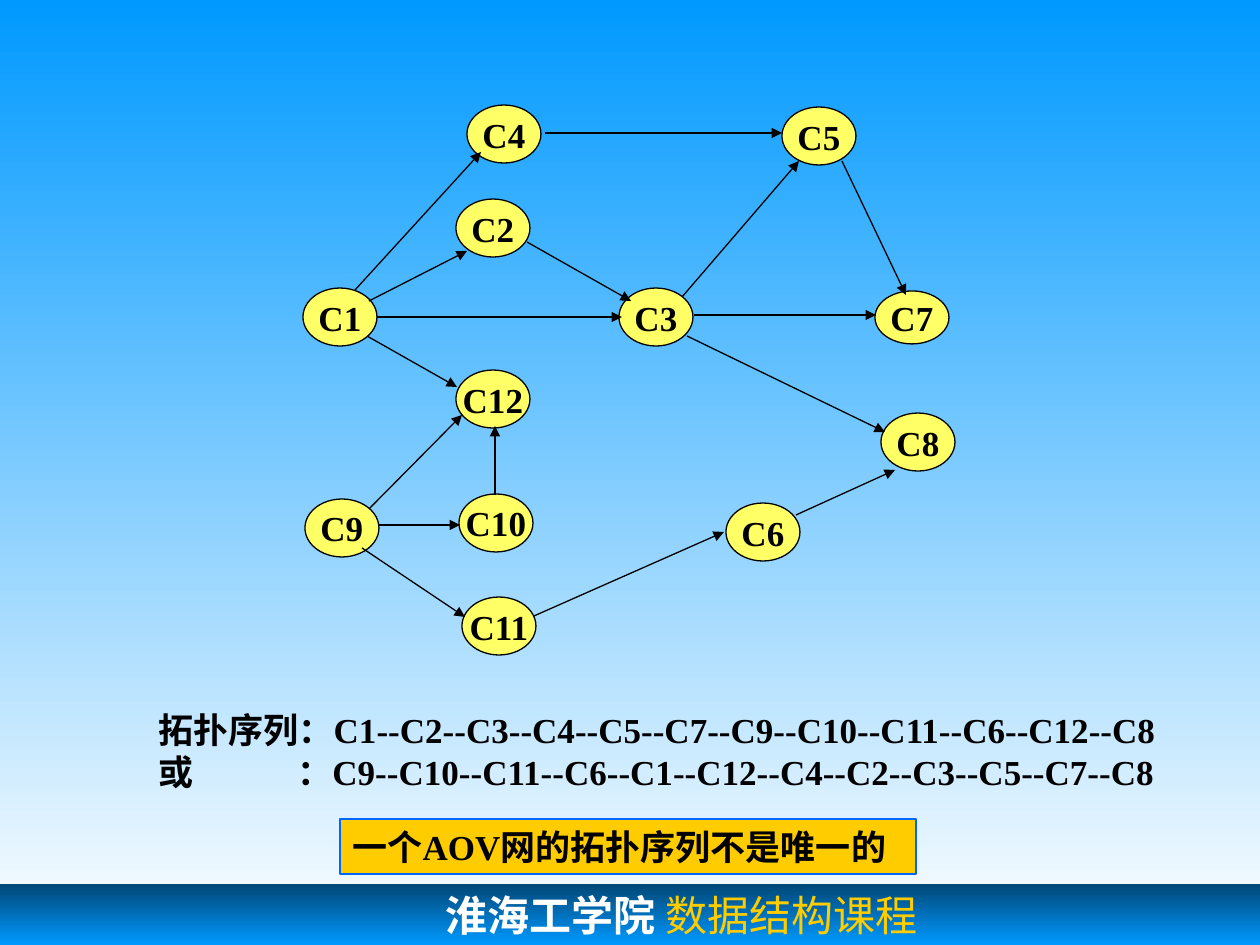
from lxml import etree
from pptx import Presentation
from pptx.dml.color import RGBColor
from pptx.enum.shapes import MSO_CONNECTOR as Connector, MSO_SHAPE as Shape
from pptx.enum.text import MSO_ANCHOR as Anchor, PP_ALIGN as Align
from pptx.oxml.ns import qn
from pptx.util import Pt

PX = 914400 / 126
COLORS = {
    "sky": "0099FF", "white": "FFFFFF", "navy": "004776", "node": "FFFF66",
    "black": "000000", "gold": "FFCC00", "border": "0066FF",
}


def px(*lengths):
    return [round(length * PX) for length in lengths]


def color(name):
    return RGBColor.from_string(COLORS[name])


presentation = Presentation()
presentation.slide_width, presentation.slide_height = px(1260, 945)
slide = presentation.slides.add_slide(presentation.slide_layouts[6])
shapes = slide.shapes

# Background and footer bar, both shaded from top to bottom
footer = shapes.add_shape(Shape.RECTANGLE, *px(0, 884, 1260, 61))
footer.shadow.inherit = False
footer.line.fill.background()
for fill, names in ((slide.background.fill, ("sky", "white")),
                    (footer.fill, ("navy", "sky"))):
    fill.gradient()
    fill.gradient_angle = 270
    for stop, name in zip(fill.gradient_stops, names):
        stop.color.rgb = color(name)

# Footer text
frame = footer.text_frame
frame.word_wrap = True
frame.vertical_anchor = Anchor.TOP
frame.margin_left, frame.margin_top = px(446, 6)
paragraph = frame.paragraphs[0]
paragraph.alignment = Align.LEFT
for text, name, font_name, bold in (
        ("淮海工学院", "white", "Courier New", True),
        (" 数据结构课程", "gold", "Times New Roman", False)):
    run = paragraph.add_run()
    run.text = text
    run.font.name, run.font.size, run.font.bold = font_name, Pt(24), bold
    run.font.color.rgb = color(name)

# Course nodes: left and top
NODE_WIDTH, NODE_HEIGHT = 74, 58
nodes = {
    "C1": (303, 288), "C2": (456, 199), "C3": (619, 288), "C4": (467, 105),
    "C5": (782, 107), "C6": (726, 503), "C7": (875, 291), "C8": (881, 413),
    "C9": (305, 499), "C10": (459, 494), "C11": (462, 597), "C12": (456, 370),
}
labelled = []
for label, (left, top) in nodes.items():
    height = 53 if label == "C7" else NODE_HEIGHT
    node = shapes.add_shape(Shape.OVAL, *px(left, top, NODE_WIDTH, height))
    node.fill.solid()
    node.fill.fore_color.rgb = color("node")
    node.line.color.rgb = color("black")
    node.text_frame.text = label
    node.text_frame.vertical_anchor = Anchor.MIDDLE
    labelled.append((node, Align.CENTER))

# Prerequisite arrows: start and end
arrows = [
    (377, 317, 622, 317),  # C1 to C3
    (369, 301, 467, 251),  # C1 to C2
    (527, 242, 631, 301),  # C2 to C3
    (355, 290, 481, 152),  # C1 to C4
    (545, 133, 782, 133),  # C4 to C5
    (682, 297, 799, 161),  # C3 to C5
    (694, 315, 876, 315),  # C3 to C7
    (842, 161, 906, 295),  # C5 to C7
    (367, 336, 457, 387),  # C1 to C12
    (369, 509, 462, 415),  # C9 to C12
    (379, 525, 460, 525),  # C9 to C10
    (495, 495, 495, 426),  # C10 to C12
    (362, 548, 465, 617),  # C9 to C11
    (534, 616, 724, 532),  # C11 to C6
    (796, 515, 895, 470),  # C6 to C8
    (687, 336, 885, 432),  # C3 to C8
]
for ends in arrows:
    arrow = shapes.add_connector(Connector.STRAIGHT, *px(*ends))
    arrow.line.color.rgb = color("black")
    arrow.line.width = Pt(0.75)
    etree.SubElement(arrow.line._get_or_add_ln(), qn("a:tailEnd"), type="triangle")
    etree.SubElement(arrow._element.spPr, qn("a:effectLst"))

# Two topological orders, with the colons lined up by a tab stop
orders = shapes.add_textbox(*px(146, 702, 1032, 97))
orders.text_frame.text = (
    "拓扑序列：C1--C2--C3--C4--C5--C7--C9--C10--C11--C6--C12--C8\n"
    "或\t：C9--C10--C11--C6--C1--C12--C4--C2--C3--C5--C7--C8")
properties = orders.text_frame.paragraphs[1]._p.get_or_add_pPr()
tabs = etree.SubElement(properties, qn("a:tabLst"))
etree.SubElement(tabs, qn("a:tab"), pos=str(px(139)[0]), algn="l")
labelled.append((orders, Align.LEFT))

# Conclusion
conclusion = shapes.add_shape(Shape.RECTANGLE, *px(340, 819, 576, 55))
conclusion.fill.solid()
conclusion.fill.fore_color.rgb = color("gold")
conclusion.line.color.rgb = color("border")
conclusion.text_frame.text = "一个AOV网的拓扑序列不是唯一的"
conclusion.text_frame.vertical_anchor = Anchor.TOP
labelled.append((conclusion, Align.LEFT))

# Shared look of nodes, orders and conclusion
for shape, alignment in labelled:
    shape.shadow.inherit = False
    if shape is not orders:
        shape.line.width = Pt(0.75)
    shape.text_frame.word_wrap = False
    for paragraph in shape.text_frame.paragraphs:
        paragraph.alignment = alignment
        for run in paragraph.runs:
            run.font.name, run.font.size, run.font.bold = "Times New Roman", Pt(20), True
            run.font.color.rgb = color("black")

presentation.save("out.pptx")
